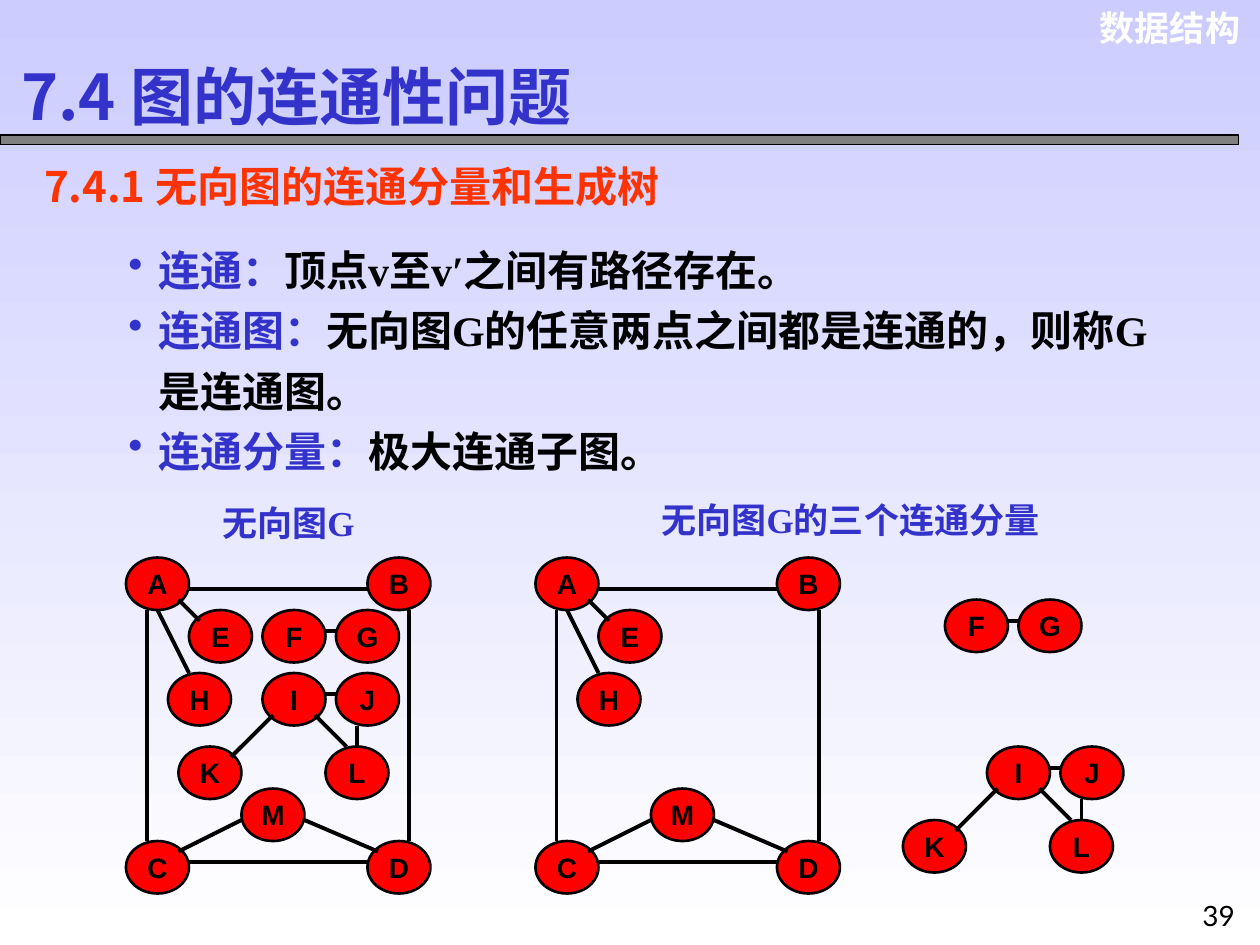
import pptx
import pptx.dml.color
import pptx.enum.shapes
import pptx.enum.text
import pptx.util
from dataclasses import dataclass
from lxml import etree

Cm = pptx.util.Cm
Pt = pptx.util.Pt
ALIGN = pptx.enum.text.PP_ALIGN
ANCHOR = pptx.enum.text.MSO_ANCHOR


@dataclass(frozen=True)
class Theme:
    sky: str = "CCCCFF"
    white: str = "FFFFFF"
    black: str = "000000"
    accent: str = "3333CC"
    section: str = "FF3300"
    rule: str = "808080"
    node: str = "FF0000"
    sans: str = "Arial"
    serif: str = "Times New Roman"
    heading: str = "Noto Sans CJK SC"
    number: str = "Lato"
    title_size: int = 36
    body_size: int = 24
    caption_size: int = 20
    label_size: int = 16


# The graphs lie on a grid of one twelfth of an inch.
GRID = 2.54 / 12
GRAPH_LEFT, GRAPH_TOP = 2.54, 11.24
NODE_WIDTH, NODE_HEIGHT = 6, 5

# Each component: top-left grid cells of its nodes, then its edges.
OUTER = (
    {"A": (0, 0), "B": (23, 0), "C": (0, 27), "D": (23, 27),
     "E": (6, 5), "H": (4, 11), "M": (11, 22)},
    [(6, 3, 23, 3), (2, 5, 2, 27), (27, 5, 27, 27), (6, 29, 23, 29),
     (17, 25, 24, 28), (5, 28, 11, 25), (3, 5, 6, 11), (5, 4, 7, 6)],
)
PAIR = ({"F": (13, 5), "G": (20, 5)}, [(19, 7, 20, 7)])
INNER = (
    {"I": (13, 11), "J": (20, 11), "K": (5, 18), "L": (19, 18)},
    [(19, 13, 20, 13), (22, 18, 22, 16), (21, 18, 18, 15), (10, 19, 14, 15)],
)

DEFINITIONS = [
    ("连通：", "顶点v至v′之间有路径存在。"),
    ("连通图：", "无向图G的任意两点之间都是连通的，则称G是连通图。"),
    ("连通分量：", "极大连通子图。"),
]


def rgb(value):
    return pptx.dml.color.RGBColor.from_string(value)


class SlideBuilder:
    def __init__(self, slide, theme):
        self.slide = slide
        self.theme = theme

    def background(self):
        fill = self.slide.background.fill
        fill.gradient()
        fill.gradient_angle = 270
        colors = (self.theme.sky, self.theme.white)
        for position, (stop, color) in enumerate(zip(fill.gradient_stops, colors)):
            stop.position = position
            stop.color.rgb = rgb(color)

    def style(self, font, size, color, name, bold=True):
        font.size = Pt(size)
        font.name = name
        font.bold = bold
        font.color.rgb = rgb(color)

    def frame(self, left, top, width, height):
        box = self.slide.shapes.add_textbox(Cm(left), Cm(top), Cm(width), Cm(height))
        box.text_frame.word_wrap = True
        return box.text_frame

    def text(self, place, words, size, color, name, align=ALIGN.LEFT,
             anchor=ANCHOR.TOP, bold=True):
        frame = self.frame(*place)
        frame.text = words
        frame.vertical_anchor = anchor
        paragraph = frame.paragraphs[0]
        paragraph.alignment = align
        self.style(paragraph.runs[0].font, size, color, name, bold)

    def bullets(self, place, entries):
        theme = self.theme
        frame = self.frame(*place)
        for index, parts in enumerate(entries):
            paragraph = frame.add_paragraph() if index else frame.paragraphs[0]
            paragraph.line_spacing = 1.2
            self.bullet_mark(paragraph)
            for words, color in zip(parts, (theme.accent, theme.black)):
                run = paragraph.add_run()
                run.text = words
                self.style(run.font, theme.body_size, color, theme.serif)

    def bullet_mark(self, paragraph):
        properties = paragraph._p.get_or_add_pPr()
        indent = Cm(0.6)
        properties.set("marL", str(indent))
        properties.set("indent", str(-indent))
        qn = pptx.oxml.ns.qn
        color = etree.SubElement(properties, qn("a:buClr"))
        etree.SubElement(color, qn("a:srgbClr"), val=self.theme.accent)
        etree.SubElement(properties, qn("a:buChar"), char="•")

    def shape(self, kind, place, fill, line_width):
        shape = self.slide.shapes.add_shape(kind, *(Cm(length) for length in place))
        shape.shadow.inherit = False
        shape.fill.solid()
        shape.fill.fore_color.rgb = rgb(fill)
        shape.line.color.rgb = rgb(self.theme.black)
        shape.line.width = Pt(line_width)
        return shape

    def node(self, letter, left, top):
        theme = self.theme
        place = (left, top, NODE_WIDTH * GRID, NODE_HEIGHT * GRID)
        oval = self.shape(pptx.enum.shapes.MSO_SHAPE.OVAL, place, theme.node, 1.5)
        frame = oval.text_frame
        frame.text = letter
        frame.word_wrap = False
        frame.vertical_anchor = ANCHOR.MIDDLE
        paragraph = frame.paragraphs[0]
        paragraph.alignment = ALIGN.CENTER
        self.style(paragraph.runs[0].font, theme.label_size, theme.black, theme.sans)

    def edge(self, *ends):
        line = self.slide.shapes.add_connector(
            pptx.enum.shapes.MSO_CONNECTOR.STRAIGHT, *(Cm(end) for end in ends))
        line.line.color.rgb = rgb(self.theme.black)
        line.line.width = Pt(2.25)
        properties = line._element.spPr
        etree.SubElement(properties, pptx.oxml.ns.qn("a:effectLst"))

    def component(self, parts, shift_x=0, shift_y=0):
        """Draw one connected component, shifted by whole grid cells."""
        nodes, edges = parts
        left = GRAPH_LEFT + shift_x * GRID
        top = GRAPH_TOP + shift_y * GRID
        for letter, (x, y) in nodes.items():
            self.node(letter, left + x * GRID, top + y * GRID)
        for x1, y1, x2, y2 in edges:
            self.edge(left + x1 * GRID, top + y1 * GRID,
                      left + x2 * GRID, top + y2 * GRID)


def main():
    deck = pptx.Presentation()
    deck.slide_width, deck.slide_height = Cm(25.4), Cm(19.05)
    theme = Theme()
    page = SlideBuilder(deck.slides.add_slide(deck.slide_layouts[6]), theme)

    page.background()
    page.text((21.77, 0, 3.48, 1.12), "数据结构", theme.caption_size,
              theme.white, theme.sans, ALIGN.RIGHT)
    page.shape(pptx.enum.shapes.MSO_SHAPE.RECTANGLE, (0, 2.72, 24.97, 0.2),
               theme.rule, 0.75)
    page.text((0.18, 1.22, 12.75, 1.4), "7.4 图的连通性问题", theme.title_size,
              theme.accent, theme.heading, anchor=ANCHOR.MIDDLE)
    page.text((0.64, 3.12, 13.34, 1.27), "7.4.1 无向图的连通分量和生成树",
              theme.body_size, theme.section, theme.heading)
    page.bullets((2.34, 4.6, 21.16, 5.13), DEFINITIONS)

    page.text((4.01, 9.98, 3.61, 1.12), "无向图G", theme.caption_size,
              theme.accent, theme.serif, ALIGN.CENTER)
    for parts in (OUTER, PAIR, INNER):
        page.component(parts)

    page.text((12.7, 9.93, 8.89, 1.12), "无向图G的三个连通分量", theme.caption_size,
              theme.accent, theme.serif, ALIGN.CENTER)
    page.component(OUTER, 39)
    page.component(PAIR, 65, -1)
    page.component(INNER, 69, 7)

    page.text((23.93, 17.98, 1.27, 1.07), "39", theme.label_size, theme.black,
              theme.number, ALIGN.CENTER, bold=False)
    deck.save("out.pptx")


if __name__ == "__main__":
    main()
